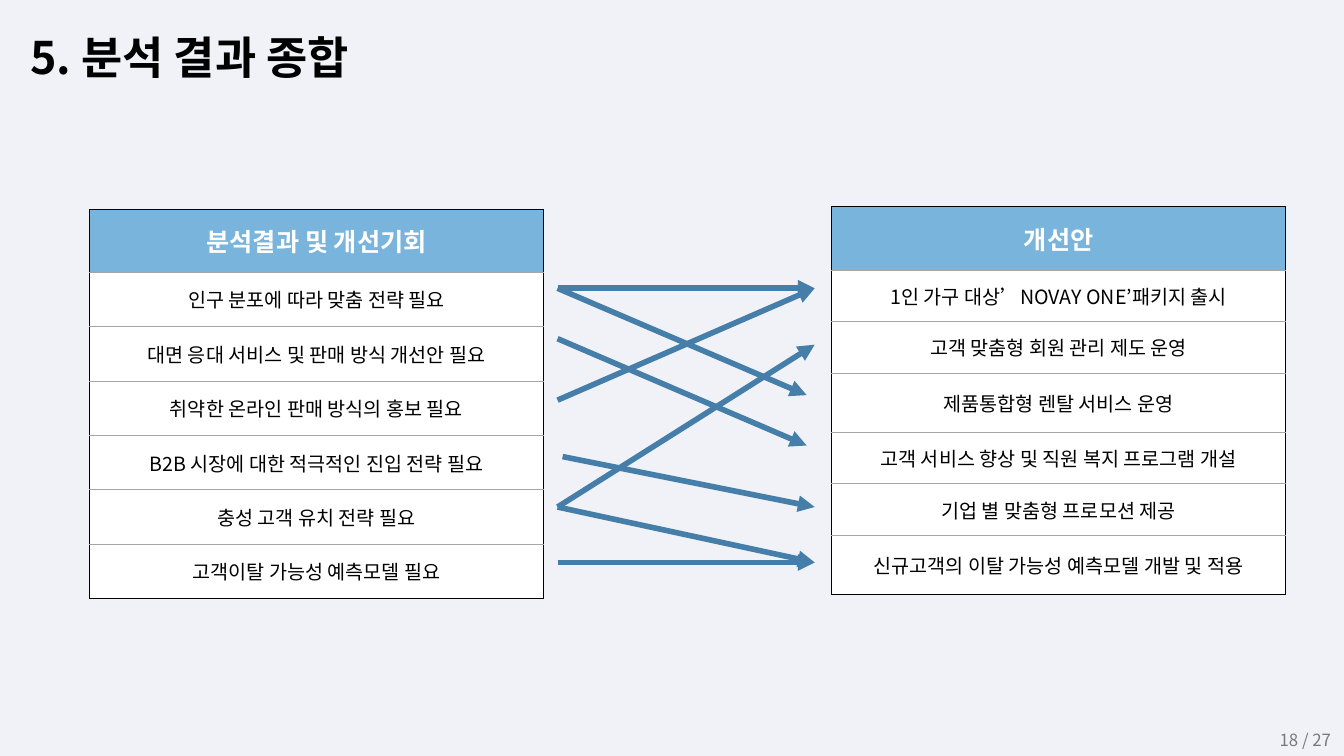
from lxml.etree import SubElement
from pptx import Presentation
from pptx.dml.color import RGBColor
from pptx.enum.shapes import MSO_CONNECTOR
from pptx.enum.text import MSO_ANCHOR, PP_ALIGN
from pptx.oxml import parse_xml
from pptx.oxml.ns import nsdecls, qn
from pptx.util import Inches, Pt

FONT = "Noto Sans CJK KR"
PAPER = RGBColor(0xF0, 0xF2, 0xF7)
SKY = RGBColor(0x78, 0xB4, 0xDC)
STEEL = RGBColor(0x45, 0x7E, 0xA9)
WHITE = RGBColor(0xFF, 0xFF, 0xFF)
BLACK = RGBColor(0, 0, 0)
GRAY = RGBColor(0x79, 0x79, 0x79)
RULE = RGBColor(0xA6, 0xA6, 0xA6)

NEEDS = [
    "분석결과 및 개선기회",
    "인구 분포에 따라 맞춤 전략 필요",
    "대면 응대 서비스 및 판매 방식 개선안 필요",
    "취약한 온라인 판매 방식의 홍보 필요",
    "B2B 시장에 대한 적극적인 진입 전략 필요",
    "충성 고객 유치 전략 필요",
    "고객이탈 가능성 예측모델 필요",
]
PLANS = [
    "개선안",
    "1인 가구 대상’NOVAY ONE’패키지 출시",
    "고객 맞춤형 회원 관리 제도 운영",
    "제품통합형 렌탈 서비스 운영",
    "고객 서비스 향상 및 직원 복지 프로그램 개설",
    "기업 별 맞춤형 프로모션 제공",
    "신규고객의 이탈 가능성 예측모델 개발 및 적용",
]
LINKS = [
    (5.53, 2.86, 8.08, 2.86),
    (5.53, 2.86, 8, 3.92),
    (5.53, 3.36, 8, 4.42),
    (5.53, 3.97, 8.08, 2.86),
    (5.58, 4.53, 8.08, 5.03),
    (5.53, 5.03, 8.08, 3.42),
    (5.53, 5.03, 8.08, 5.58),
    (5.53, 5.58, 8.08, 5.58),
]


def write(frame, text, size=14, color=BLACK, bold=False, align=PP_ALIGN.LEFT, space=None):
    par = frame.paragraphs[0]
    par.alignment = align
    par.line_spacing = space
    run = par.add_run()
    run.text = text
    font = run.font
    font.size = Pt(size)
    font.bold = bold
    font.color.rgb = color
    font.name = FONT
    SubElement(run._r.get_or_add_rPr(), qn("a:ea")).set("typeface", FONT)


def add_text(slide, box, text, anchor=MSO_ANCHOR.TOP, **style):
    frame = slide.shapes.add_textbox(*map(Inches, box)).text_frame
    frame.word_wrap = True
    frame.vertical_anchor = anchor
    write(frame, text, **style)


def add_edges(cell, top, bottom):
    props = cell._tc.get_or_add_tcPr()
    edges = [("L", BLACK), ("R", BLACK), ("T", top), ("B", bottom)]
    for spot, (side, color) in enumerate(edges):
        props.insert(spot, parse_xml(
            f'<a:ln{side} {nsdecls("a")} w="{Pt(0.5)}"><a:solidFill>'
            f'<a:srgbClr val="{color}"/></a:solidFill></a:ln{side}>'))


def add_list(slide, left, top, items, heights):
    shape = slide.shapes.add_table(
        len(items), 1, Inches(left), Inches(top), Inches(4.5), Inches(sum(heights)))
    table = shape.table
    table.horz_banding = False
    last = len(items) - 1
    for row, (text, height) in enumerate(zip(items, heights)):
        table.rows[row].height = Inches(height)
        cell = table.cell(row, 0)
        head = row == 0
        cell.vertical_anchor = MSO_ANCHOR.MIDDLE
        cell.margin_left = cell.margin_right = Inches(0.04 if head else 0.07)
        cell.margin_top = cell.margin_bottom = Inches(0.02 if head else 0.03)
        cell.fill.solid()
        cell.fill.fore_color.rgb = SKY if head else WHITE
        add_edges(cell, BLACK if head else RULE, BLACK if row == last else RULE)
        write(cell.text_frame, text, size=18 if head else 14,
              color=WHITE if head else BLACK, bold=head, align=PP_ALIGN.CENTER)


def add_arrow(slide, ends):
    arrow = slide.shapes.add_connector(MSO_CONNECTOR.STRAIGHT, *map(Inches, ends))
    arrow.line.color.rgb = STEEL
    arrow.line.width = Pt(4)
    SubElement(arrow.line._get_or_add_ln(), qn("a:tailEnd")).set("type", "triangle")
    SubElement(arrow._element.spPr, qn("a:effectLst"))


def main():
    deck = Presentation()
    deck.slide_width, deck.slide_height = Inches(13.33), Inches(7.5)
    slide = deck.slides.add_slide(deck.slide_layouts[6])
    slide.background.fill.solid()
    slide.background.fill.fore_color.rgb = PAPER
    add_text(slide, (0.2, 0.11, 5.39, 0.73), "5. 분석 결과 종합",
             size=32, bold=True, space=1.25)
    add_list(slide, 0.89, 2.08, NEEDS, [0.62] + [0.54] * 6)
    add_list(slide, 8.25, 2.05, PLANS, [0.63] + [0.51, 0.51, 0.59] * 2)
    for ends in LINKS:
        add_arrow(slide, ends)
    add_text(slide, (10.3, 7.09, 3, 0.49), "18 / 27", anchor=MSO_ANCHOR.MIDDLE,
             size=12, color=GRAY, align=PP_ALIGN.RIGHT)
    deck.save("out.pptx")


if __name__ == "__main__":
    main()
